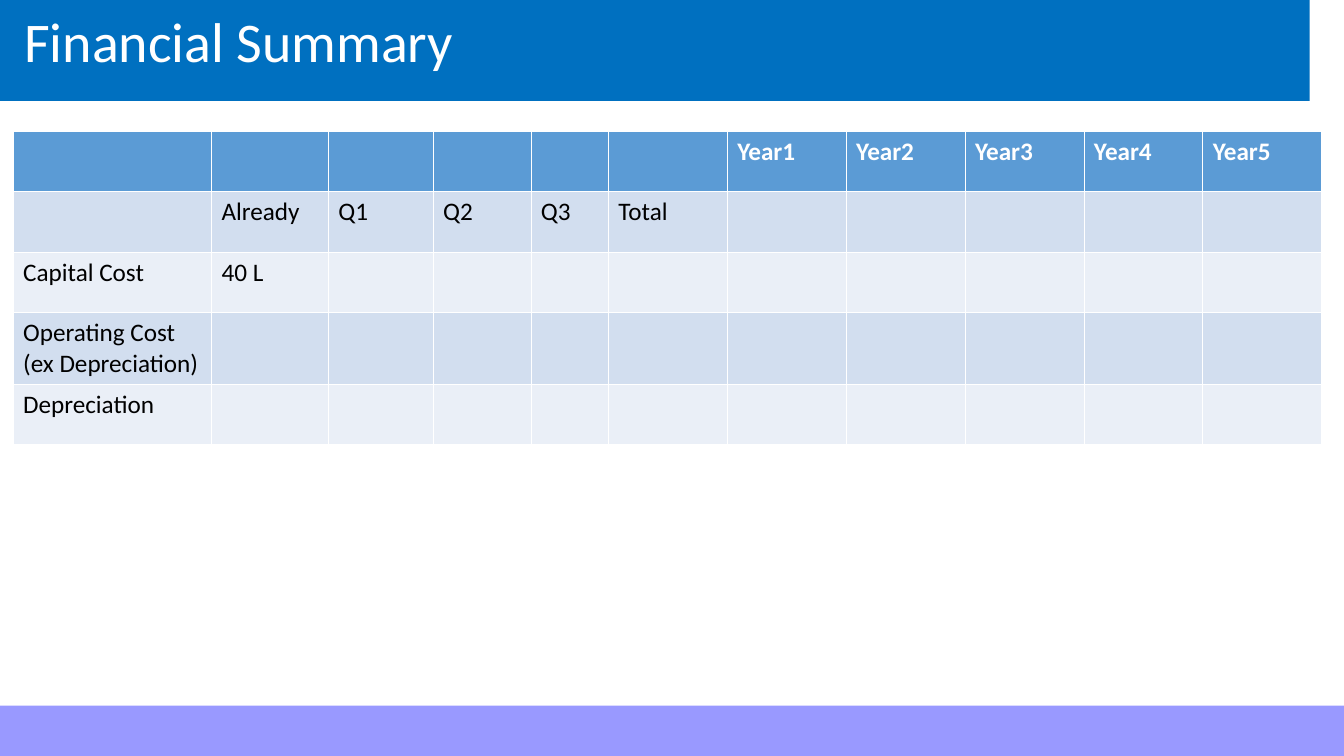
"""Build the Financial Summary slide with its banner, cost table and footer band."""
import math

import lxml.etree
import pptx
import pptx.dml.color
import pptx.enum.shapes
import pptx.enum.text
import pptx.oxml.ns
import pptx.util
from pptx.util import Inches


def color(hex_value):
    return pptx.dml.color.RGBColor.from_string(hex_value)


def write(frame, text, size=18, ink="000000", bold=False, spacing=None):
    paragraph = frame.paragraphs[0]
    paragraph.text = text
    paragraph.alignment = pptx.enum.text.PP_ALIGN.LEFT
    paragraph.line_spacing = spacing
    paragraph.font.name = "Calibri"
    paragraph.font.size = pptx.util.Pt(size)
    paragraph.font.bold = bold
    paragraph.font.color.rgb = color(ink)


deck = pptx.Presentation()
deck.slide_width, deck.slide_height = Inches(13.34), Inches(7.5)
slide = deck.slides.add_slide(deck.slide_layouts[5])
shapes = slide.shapes

straight_end, arc_width, half_height = 12.38, 0.95, 0.61
arc = []
for step in range(61):
    angle = math.pi * (step / 60 - 0.5)
    arc.append((straight_end + arc_width * math.cos(angle), half_height * (1 + math.sin(angle))))
outline = shapes.build_freeform(0, 0, scale=Inches(1))
outline.add_line_segments(arc + [(0, 2 * half_height)], close=True)
banner = outline.convert_to_shape()

footer = shapes.add_shape(
    pptx.enum.shapes.MSO_SHAPE.RECTANGLE, 0, Inches(7), Inches(13.34), Inches(0.5))
for band, band_color in ((banner, "0070C0"), (footer, "9999FF")):
    band.shadow.inherit = False
    band.fill.solid()
    band.fill.fore_color.rgb = color(band_color)
    band.line.fill.background()

rule = shapes.add_connector(
    pptx.enum.shapes.MSO_CONNECTOR.STRAIGHT, 0, Inches(1.08), Inches(12.97), Inches(1.07))
rule.line.color.rgb = color("FFFFFF")
rule.line.width = pptx.util.Pt(3)
lxml.etree.SubElement(rule.element.spPr, pptx.oxml.ns.qn("a:effectLst"))

cost_rows = [
    [""] * 6 + [f"Year{year}" for year in range(1, 6)],
    ["", "Already", "Q1", "Q2", "Q3", "Total"] + [""] * 5,
    ["Capital Cost", "40 L"] + [""] * 9,
    ["Operating Cost (ex Depreciation)"] + [""] * 10,
    ["Depreciation"] + [""] * 10,
]
column_widths = [1.97, 1.16, 1.04, 0.97, 0.77] + [1.18] * 6
row_heights = [0.6, 0.6, 0.6, 0.71, 0.6]
row_fills = ["5B9BD5", "D2DEEF", "EAEFF7", "D2DEEF", "EAEFF7"]

costs = shapes.add_table(
    len(cost_rows), len(column_widths), Inches(0.13), Inches(1.3),
    Inches(sum(column_widths)), Inches(sum(row_heights))).table
for column, width in zip(costs.columns, column_widths):
    column.width = Inches(width)

for row_index, labels in enumerate(cost_rows):
    costs.rows[row_index].height = Inches(row_heights[row_index])
    header = row_index == 0
    for column_index, label in enumerate(labels):
        cell = costs.cell(row_index, column_index)
        cell.fill.solid()
        cell.fill.fore_color.rgb = color(row_fills[row_index])
        write(cell.text_frame, label, ink="FFFFFF" if header else "000000", bold=header)
        properties = cell._tc.get_or_add_tcPr()
        for position, side in enumerate("LRTB"):
            heavy = (row_index, side) in ((0, "B"), (1, "T"))
            border = pptx.oxml.parse_xml(
                f'<a:ln{side} {pptx.oxml.ns.nsdecls("a")} w="{18669 if heavy else 5715}">'
                '<a:solidFill><a:srgbClr val="FFFFFF"/></a:solidFill>'
                f'</a:ln{side}>')
            properties.insert(position, border)

title = shapes.title
title.left, title.top = Inches(0.14), Inches(0.03)
title.width, title.height = Inches(11.5), Inches(0.82)
title.text_frame.vertical_anchor = pptx.enum.text.MSO_ANCHOR.MIDDLE
title.text_frame.auto_size = pptx.enum.text.MSO_AUTO_SIZE.NONE
title.text_frame.word_wrap = True
write(title.text_frame, "Financial Summary", size=40, ink="FFFFFF", spacing=0.9)
shapes.element.append(title.element)

deck.save("out.pptx")
